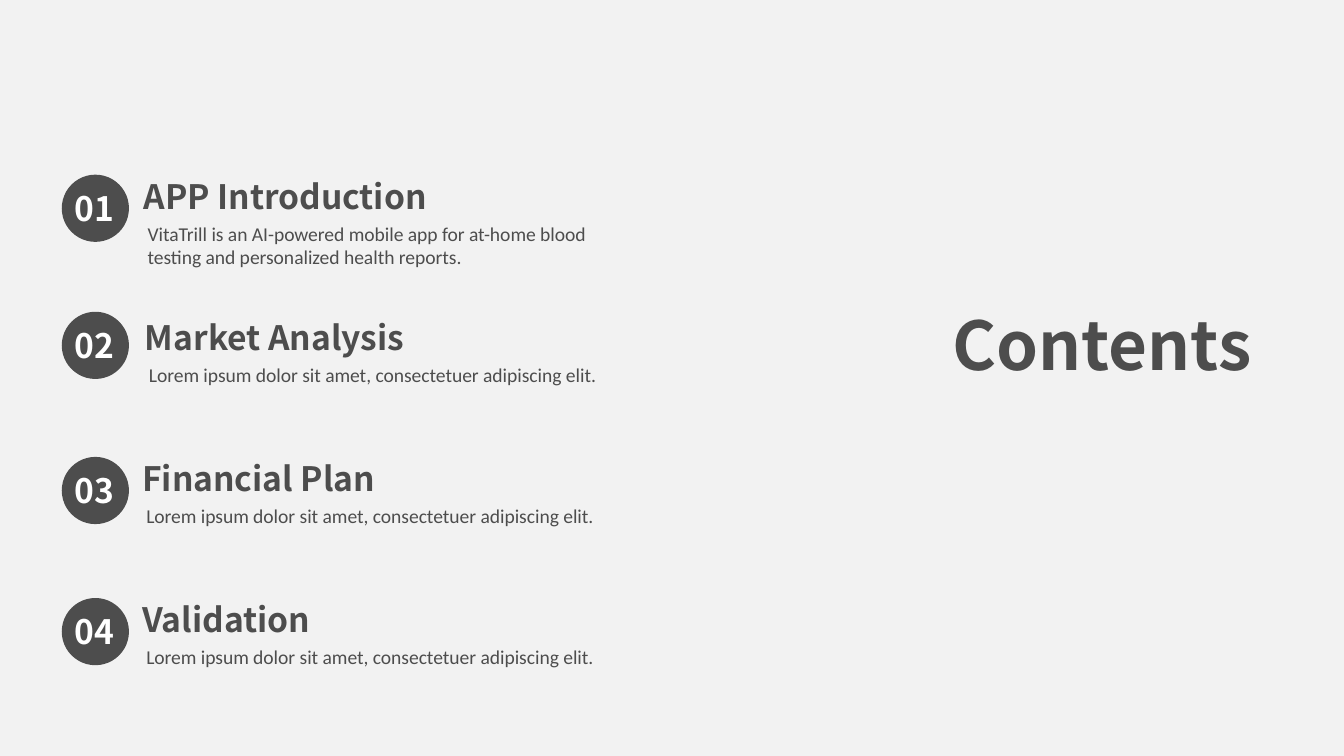
from pptx import Presentation
from pptx.dml.color import RGBColor
from pptx.enum.shapes import MSO_SHAPE
from pptx.enum.text import MSO_AUTO_SIZE, PP_ALIGN
from pptx.util import Inches, Pt

OVAL = MSO_SHAPE.OVAL
GROW = MSO_AUTO_SIZE.SHAPE_TO_FIT_TEXT
LEFT, CENTER, RIGHT = PP_ALIGN.LEFT, PP_ALIGN.CENTER, PP_ALIGN.RIGHT

COLORS = {"background": "F2F2F2", "dark": "4D4D4D", "light": "FFFFFF"}
HEADING_FONT, BODY_FONT = "Noto Sans CJK SC", "Calibri"

# Widescreen slide and agenda grid, in inches
SLIDE_WIDTH = 10
SLIDE_HEIGHT = SLIDE_WIDTH * 9 / 16
FIRST_ROW, ROW_STEP = 1.26, 1.05
BADGE_LEFT, BADGE_SIZE = 0.46, 0.5

PLACEHOLDER = "Lorem ipsum dolor sit amet, consectetuer adipiscing elit."
# Heading, description, description height, heading left, badge drop below the row top
AGENDA = [
    ("APP Introduction",
     "VitaTrill is an AI-powered mobile app for at-home blood testing "
     "and personalized health reports.", 0.45, 0.97, 0.04),
    ("Market Analysis", PLACEHOLDER, 0.28, 0.98, 0.01),
    ("Financial Plan", PLACEHOLDER, 0.28, 0.96, 0.04),
    ("Validation", PLACEHOLDER, 0.28, 0.96, 0.04),
]


def rgb(name):
    return RGBColor.from_string(COLORS[name])


def add_text(shapes, box, text, size, font=HEADING_FONT, color="dark",
             bold=True, align=LEFT):
    frame = shapes.add_textbox(*map(Inches, box)).text_frame
    frame.word_wrap = True
    frame.auto_size = GROW
    paragraph = frame.paragraphs[0]
    paragraph.alignment = align
    run = paragraph.add_run()
    run.text = text
    run.font.name = font
    run.font.size = Pt(size)
    run.font.bold = bold
    run.font.color.rgb = rgb(color)


def add_badge(shapes, top, number):
    box = (BADGE_LEFT, top, BADGE_SIZE, BADGE_SIZE)
    circle = shapes.add_shape(OVAL, *map(Inches, box))
    circle.shadow.inherit = False
    circle.fill.solid()
    circle.fill.fore_color.rgb = rgb("dark")
    circle.line.fill.background()
    add_text(shapes, (BADGE_LEFT - 0.01, top + 0.05, 0.51, 0.4),
             f"{number:02d}", 18, color="light", align=CENTER)


def add_agenda_item(slide, index, item):
    heading, description, height, left, badge_drop = item
    top = FIRST_ROW + index * ROW_STEP
    shapes = slide.shapes.add_group_shape().shapes
    add_text(shapes, (left, top, 3.54, 0.4), heading, 18)
    add_text(shapes, (left + 0.03, top + 0.34, 3.67, height),
             description, 10.5, font=BODY_FONT, bold=False)
    add_badge(shapes, top + badge_drop, index + 1)


def main():
    deck = Presentation()
    deck.slide_width, deck.slide_height = Inches(SLIDE_WIDTH), Inches(SLIDE_HEIGHT)
    slide = deck.slides.add_slide(deck.slide_layouts[6])
    slide.background.fill.solid()
    slide.background.fill.fore_color.rgb = rgb("background")

    # Numbered agenda on the left
    for index, item in enumerate(AGENDA):
        add_agenda_item(slide, index, item)

    # Slide title on the right
    add_text(slide.shapes, (6.63, 2.21, 2.78, 0.71), "Contents", 36, align=RIGHT)

    deck.save("out.pptx")


if __name__ == "__main__":
    main()
